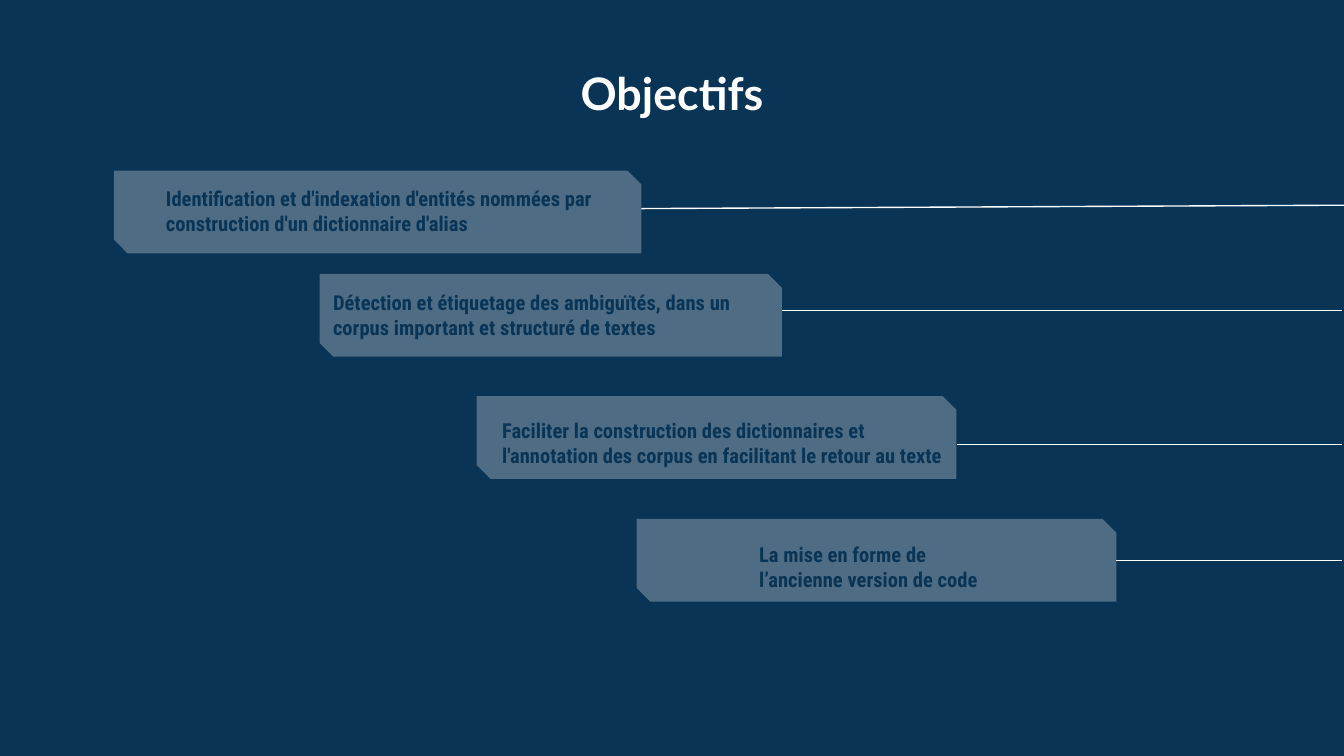
from dataclasses import dataclass

from lxml.etree import SubElement
from pptx import Presentation
from pptx.dml.color import RGBColor
from pptx.enum.shapes import MSO_CONNECTOR as Connector, MSO_SHAPE as Preset
from pptx.enum.text import MSO_ANCHOR as Anchor, MSO_AUTO_SIZE as AutoSize, PP_ALIGN as Align
from pptx.oxml.ns import qn
from pptx.util import Inches, Pt

NAVY, WHITE = "0A3455", "FFFFFF"
COLUMNS = 100
SLIDE_WIDTH = Inches(10)
SLIDE_HEIGHT = SLIDE_WIDTH * 9 // 16
BANNER_HEIGHT, CAPTION_HEIGHT = 6.16, 3.7


@dataclass(frozen=True)
class Area:
    column: float
    row: float
    width: float
    height: float


@dataclass(frozen=True)
class Goal:
    wording: str
    banner: Area
    caption: Area
    anchor: Anchor
    rule_row: float
    edge_column: float = 99.84
    edge_row: float | None = None


GOALS = [
    Goal("Identification et d'indexation d'entités nommées par construction d'un dictionnaire d'alias",
         Area(8.48, 12.7, 39.25, BANNER_HEIGHT), Area(11.35, 13.86, 35.7, CAPTION_HEIGHT),
         Anchor.MIDDLE, 15.52, 100, 15.27),
    Goal("Détection et étiquetage des ambiguïtés, dans un corpus important et structuré de textes",
         Area(23.78, 20.38, 34.4, BANNER_HEIGHT), Area(23.78, 21.57, 35.7, CAPTION_HEIGHT),
         Anchor.MIDDLE, 23.1),
    Goal("Faciliter la construction des dictionnaires et l'annotation des corpus "
         "en facilitant le retour au texte",
         Area(35.47, 29.47, 35.7, BANNER_HEIGHT), Area(36.36, 30.13, 35.7, CAPTION_HEIGHT),
         Anchor.TOP, 33.07),
    Goal("La mise en forme de l’ancienne version de code",
         Area(47.37, 38.61, 35.7, BANNER_HEIGHT), Area(55.48, 39.34, 20.4, CAPTION_HEIGHT),
         Anchor.TOP, 41.69),
]


def grid(units: float) -> int:
    return round(units * SLIDE_WIDTH / COLUMNS)


def color(code: str) -> RGBColor:
    return RGBColor.from_string(code)


def write(holder, wording: str, area: Area, font_name: str, size: float, code: str,
          align: Align, anchor: Anchor) -> None:
    holder.left, holder.top = grid(area.column), grid(area.row)
    holder.width, holder.height = grid(area.width), grid(area.height)
    frame = holder.text_frame
    frame.word_wrap = True
    frame.auto_size = AutoSize.NONE
    frame.vertical_anchor = anchor
    frame.margin_left = frame.margin_right = grid(1)
    frame.margin_top = frame.margin_bottom = grid(1)
    paragraph = frame.paragraphs[0]
    paragraph.alignment = align
    paragraph.space_before = Pt(0)
    properties = paragraph._p.get_or_add_pPr()
    properties.set("marL", "0")
    properties.set("indent", "0")
    SubElement(properties, qn("a:buNone"))
    run = paragraph.add_run()
    run.text = wording
    run.font.name, run.font.size, run.font.bold = font_name, Pt(size), True
    run.font.color.rgb = color(code)


def draw_rule(slide, goal: Goal) -> None:
    edge_row = goal.rule_row if goal.edge_row is None else goal.edge_row
    rule = slide.shapes.add_connector(
        Connector.STRAIGHT, grid(goal.edge_column), grid(edge_row),
        grid(goal.banner.column + goal.banner.width), grid(goal.rule_row))
    rule.line.color.rgb = color(WHITE)
    rule.line.width = Pt(0.75)
    SubElement(rule._element.spPr, qn("a:effectLst"))


def draw_banner(slide, area: Area) -> None:
    banner = slide.shapes.add_shape(
        Preset.SNIP_2_DIAG_RECTANGLE, grid(area.column), grid(area.row),
        grid(area.width), grid(area.height))
    banner.adjustments[0], banner.adjustments[1] = 0, 0.167
    banner.shadow.inherit = False
    banner.line.fill.background()
    banner.fill.solid()
    banner.fill.fore_color.rgb = color(WHITE)
    tint = banner._element.spPr.find(qn("a:solidFill")).find(qn("a:srgbClr"))
    SubElement(tint, qn("a:alpha")).set("val", "28000")


def draw_goal(slide, goal: Goal, caption) -> None:
    draw_rule(slide, goal)
    draw_banner(slide, goal.banner)
    write(caption, goal.wording, goal.caption, "Roboto Condensed", 11, NAVY,
          Align.LEFT, goal.anchor)
    slide.shapes._spTree.append(caption._element)


def main() -> None:
    deck = Presentation()
    deck.slide_width, deck.slide_height = SLIDE_WIDTH, SLIDE_HEIGHT
    slide = deck.slides.add_slide(deck.slide_layouts.get_by_name("Comparison"))
    slide.background.fill.solid()
    slide.background.fill.fore_color.rgb = color(NAVY)

    title, *captions = list(slide.placeholders)
    write(title, "Objectifs", Area(21.5, 3.9, 57, 10.3), "Lato", 24, WHITE,
          Align.CENTER, Anchor.TOP)
    for goal, caption in zip(GOALS, captions):
        draw_goal(slide, goal, caption)

    deck.save("out.pptx")


if __name__ == "__main__":
    main()
